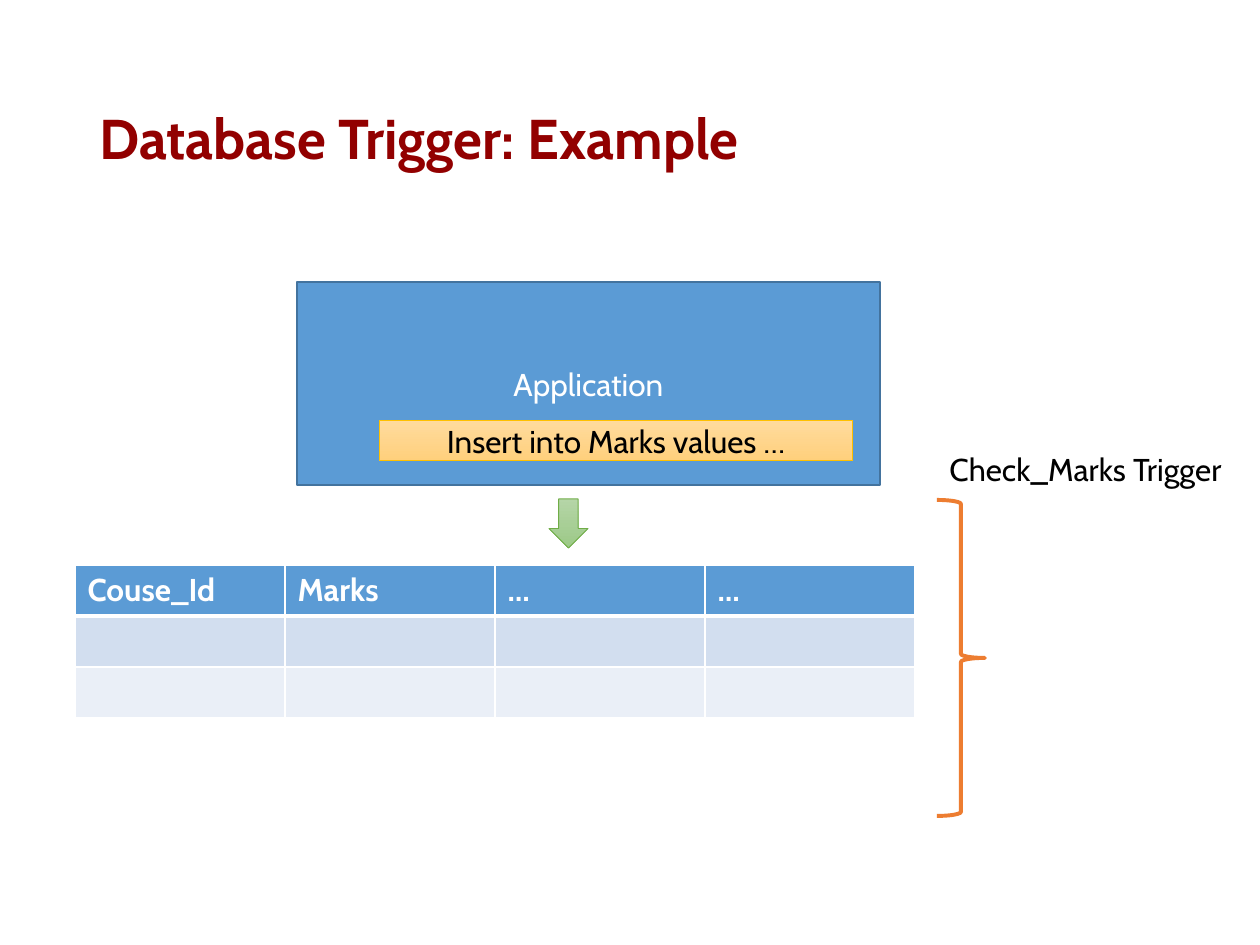
import pptx
import pptx.util
import pptx.dml.color
import pptx.enum.shapes
import pptx.enum.text
import pptx.oxml
import pptx.oxml.ns

PX = 914400 // 126
FONT = "Cabin"
SHAPE = pptx.enum.shapes.MSO_SHAPE
ANCHOR = pptx.enum.text.MSO_ANCHOR
ALIGN = pptx.enum.text.PP_ALIGN
COLORS = {
    "title": "920000", "black": "000000", "white": "FFFFFF",
    "blue": "5B9BD5", "navy": "43739E", "gold": "FFC000",
    "sand": "FFDB9E", "amber": "FFD07C", "mint": "B5D5A7",
    "leaf": "9CC987", "green": "70AD47", "orange": "ED7D31",
    "odd": "D2DEEF", "even": "EAEFF7",
}
HEADS = ["Couse_Id", "Marks", "…", "…"]
BANDS = ["blue", "odd", "even"]


def rgb(name):
    return pptx.dml.color.RGBColor.from_string(COLORS[name])


def scale(*box):
    return [n * PX for n in box]


def write(frame, text, color, size=18, bold=False, align=ALIGN.LEFT):
    para = frame.paragraphs[0]
    para.text = text
    para.alignment = align
    font = para.font
    font.name, font.size, font.bold = FONT, pptx.util.Pt(size), bold
    font.color.rgb = rgb(color)
    return para


def add_label(slide, box, text, color, wrap=True, **style):
    frame = slide.shapes.add_textbox(*scale(*box)).text_frame
    frame.word_wrap = wrap
    para = write(frame, text, color, **style)
    return frame, para


def add_shape(slide, kind, box, fills, line, width, text="", color="white"):
    """Fill with nothing, one colour, or a gradient from top to bottom."""
    shape = slide.shapes.add_shape(kind, *scale(*box))
    shape.shadow.inherit = False
    if not fills:
        shape.fill.background()
    elif len(fills) == 1:
        shape.fill.solid()
        shape.fill.fore_color.rgb = rgb(fills[0])
    else:
        shape.fill.gradient()
        shape.fill.gradient_angle = 270
        for stop, name, place in zip(shape.fill.gradient_stops, fills, (0, 1)):
            stop.color.rgb = rgb(name)
            stop.position = place
    shape.line.color.rgb = rgb(line)
    shape.line.width = pptx.util.Pt(width)
    if text:
        shape.text_frame.vertical_anchor = ANCHOR.MIDDLE
        write(shape.text_frame, text, color, align=ALIGN.CENTER)


def add_edges(cell, **widths):
    """Draw white borders; call before the fill, which must follow them."""
    props = cell._tc.get_or_add_tcPr()
    for side in "LRTB":
        size = pptx.util.Pt(widths.get(side, 1))
        props.append(pptx.oxml.parse_xml(
            f'<a:ln{side} {pptx.oxml.ns.nsdecls("a")} w="{size}"><a:solidFill>'
            f'<a:srgbClr val="{COLORS["white"]}"/></a:solidFill></a:ln{side}>'))


def add_marks(slide, box):
    table = slide.shapes.add_table(len(BANDS), len(HEADS), *scale(*box)).table
    for row, band in enumerate(BANDS):
        for col, head in enumerate(HEADS):
            cell = table.cell(row, col)
            edges = {0: {"B": 3}, 1: {"T": 3}}.get(row, {})
            add_edges(cell, **edges)
            cell.fill.solid()
            cell.fill.fore_color.rgb = rgb(band)
            if row == 0:
                write(cell.text_frame, head, "white", bold=True)


def main():
    deck = pptx.Presentation()
    deck.slide_width, deck.slide_height = scale(1260, 945)
    slide = deck.slides.add_slide(deck.slide_layouts[6])

    frame, para = add_label(slide, (87, 50, 1086, 183),
                            "Database Trigger: Example", "title",
                            size=32, bold=True)
    frame.vertical_anchor = ANCHOR.MIDDLE
    para.line_spacing = 0.9

    add_shape(slide, SHAPE.RECTANGLE, (297, 282, 583, 203), ["blue"],
              "navy", 1, "Application")
    add_shape(slide, SHAPE.RECTANGLE, (379, 420, 474, 41), ["sand", "amber"],
              "gold", 0.5, "Insert into Marks values …", "black")
    add_marks(slide, (75, 565, 840, 153))
    add_shape(slide, SHAPE.DOWN_ARROW, (549, 499, 39, 49), ["mint", "leaf"],
              "green", 0.5)
    add_shape(slide, SHAPE.RIGHT_BRACE, (937, 500, 48, 316), [],
              "orange", 2.25)
    add_label(slide, (937, 444, 307, 50), "Check_Marks Trigger", "black",
              wrap=False)

    deck.save("out.pptx")


if __name__ == "__main__":
    main()
